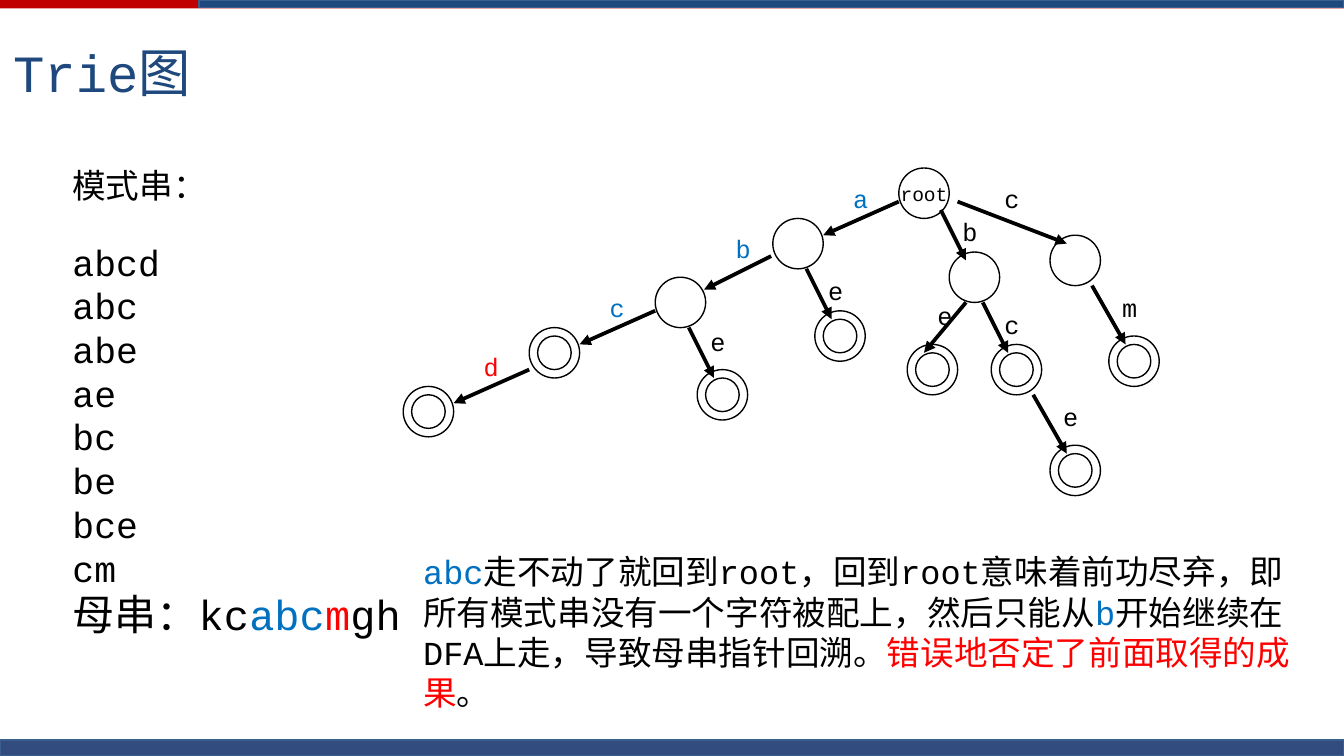
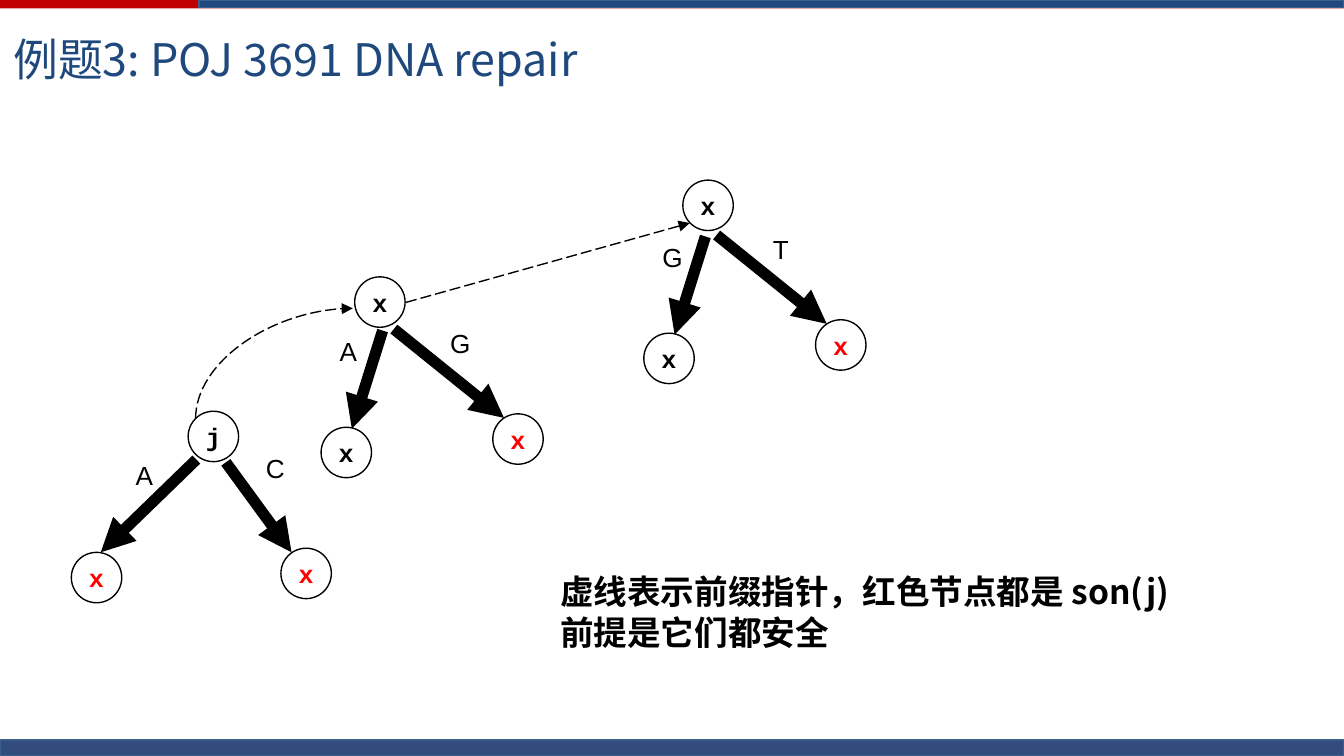
from lxml import etree
from pptx import Presentation
from pptx.dml.color import RGBColor
from pptx.enum.dml import MSO_LINE
from pptx.enum.shapes import MSO_CONNECTOR, MSO_SHAPE
from pptx.enum.text import MSO_ANCHOR, PP_ALIGN
from pptx.oxml.ns import qn
from pptx.util import Pt

OVAL, RECT = MSO_SHAPE.OVAL, MSO_SHAPE.RECTANGLE
STRAIGHT, CURVE = MSO_CONNECTOR.STRAIGHT, MSO_CONNECTOR.CURVE
LONG_DASH = MSO_LINE.LONG_DASH
TOP, MIDDLE = MSO_ANCHOR.TOP, MSO_ANCHOR.MIDDLE
LEFT, CENTER = PP_ALIGN.LEFT, PP_ALIGN.CENTER

WIDTH, HEIGHT = 720, 405
MONO, SANS, LATIN = "Courier New", "Noto Sans CJK SC", "Arial"
BLACK, WHITE, RED, SKY = "000000", "FFFFFF", "FF0000", "0070C0"
NAVY, CRIMSON, FOOTER, EDGE = "1F497D", "C00000", "002060", "3A5F8C"
NODE = 27   # diameter of a tree node
GRID = 4.5  # unit of the trie drawing

# Trie: column, row, whether a pattern ends there
TRIE_NODES = [
    (59, 0, False), (44, 6, False), (30, 13, False), (15, 19, True),
    (0, 26, True), (35, 24, True), (49, 17, True), (65, 10, False),
    (70, 21, True), (60, 21, True), (77, 33, True), (77, 8, False),
    (84, 20, True),
]
# Trie: letter, colour, start, end, place of the letter
TRIE_EDGES = [
    ("a", SKY, (59, 4), (50, 8), (52, 1)),
    ("b", SKY, (43.8, 10.5), (35.8, 14.5), (38, 7)),
    ("c", SKY, (30, 17), (21, 21), (23, 14)),
    ("d", RED, (15, 24), (6, 28), (8, 21)),
    ("e", BLACK, (34, 19), (37, 25), (35, 18)),
    ("e", BLACK, (48, 12), (51, 18), (49, 12)),
    ("b", BLACK, (64, 5), (67, 11), (65, 5)),
    ("c", BLACK, (69, 16), (72, 22), (70, 16)),
    ("e", BLACK, (67, 16), (62, 22), (62, 15)),
    ("e", BLACK, (75, 27), (79, 34), (77, 27)),
    ("c", BLACK, (66, 4), (79, 9), (70, 1)),
    ("m", BLACK, (82, 14), (86, 21), (84, 14)),
]

# Branch pairs: child, start, end, place of the letter
WIDE_PAIR = [
    ((0, 75.6), (67, 25.9), (15.8, 75.6), (27.4, 22.3)),
    ((112.3, 73.4), (82.8, 27.4), (118, 75.6), (97.2, 18.7)),
]
STEEP_PAIR = [
    ((0, 80.6), (33, 28.8), (16.5, 81.4), (2.9, 28)),
    ((92, 73.4), (39, 28), (98, 75.6), (62, 23.8)),
]


def rgb(code):
    return RGBColor.from_string(code)


def add_para(frame, spans, size, font, bold=False, align=LEFT,
             pitch=None, before=None, first=False):
    """Add one paragraph made of (text, colour) spans."""
    para = frame.paragraphs[0] if first else frame.add_paragraph()
    para.alignment = align
    if pitch:
        para.line_spacing = Pt(pitch)
    if before:
        para.space_before = Pt(before)
    para.font.name, para.font.size, para.font.bold = font, Pt(size), bold
    para.font.color.rgb = rgb(spans[0][1])
    defaults = para._p.pPr.find(qn("a:defRPr"))
    etree.SubElement(defaults, qn("a:ea")).set("typeface", font)
    for text, color in spans:
        span = para.add_run()
        span.text = text
        if len(spans) > 1:
            span.font.color.rgb = rgb(color)


def add_box(page, left, top, width, height, wrap=True, anchor=TOP):
    box = page.shapes.add_textbox(Pt(left), Pt(top), Pt(width), Pt(height))
    box.text_frame.word_wrap = wrap
    box.text_frame.vertical_anchor = anchor
    return box.text_frame


def add_label(page, left, top, text, size, font, color=BLACK):
    frame = add_box(page, left, top, 26, 24, wrap=False)
    add_para(frame, [(text, color)], size, font, first=True)


def add_solid(page, kind, left, top, width, height, fill, line=None, weight=0):
    shape = page.shapes.add_shape(kind, Pt(left), Pt(top), Pt(width), Pt(height))
    shape.shadow.inherit = False
    shape.fill.solid()
    shape.fill.fore_color.rgb = rgb(fill)
    if line:
        shape.line.color.rgb = rgb(line)
        shape.line.width = Pt(weight)
    else:
        shape.line.fill.background()
    return shape


def add_node(page, left, top, text="", color=BLACK, size=13.5, bold=True,
             diameter=NODE):
    node = add_solid(page, OVAL, left, top, diameter, diameter, WHITE, BLACK, 0.75)
    if text:
        frame = node.text_frame
        frame.word_wrap = False
        frame.vertical_anchor = MIDDLE
        add_para(frame, [(text, color)], size, MONO, bold, CENTER, first=True)


def add_arrow(page, start, end, weight, dash=None, kind=STRAIGHT):
    arrow = page.shapes.add_connector(kind, *(Pt(v) for v in (*start, *end)))
    arrow.line.color.rgb = rgb(BLACK)
    arrow.line.width = Pt(weight)
    if dash:
        arrow.line.dash_style = dash
    properties = arrow._element.spPr
    tail = etree.SubElement(properties.find(qn("a:ln")), qn("a:tailEnd"))
    tail.set("type", "triangle")
    etree.SubElement(properties, qn("a:effectLst"))
    return arrow


def add_quarter_curve(page, left, top, width, height):
    """Dashed arc that leaves upwards and arrives to the right."""
    curve = add_arrow(page, (left + width, top + height), (left, top), 0.75,
                      LONG_DASH, CURVE)
    properties = curve._element.spPr
    properties.find(qn("a:xfrm")).set("rot", "5400000")
    properties.find(qn("a:prstGeom")).set("prst", "curvedConnector2")


def add_page(deck, title, size, font, title_height):
    """Page with top bands, footer band and title."""
    page = deck.slides.add_slide(deck.slide_layouts[6])
    split = 106.6
    add_solid(page, RECT, 0, 0, WIDTH, 4.6, CRIMSON)
    add_solid(page, RECT, split, 0, WIDTH - split, 4, NAVY, EDGE)
    footer = add_solid(page, RECT, 0, HEIGHT - 8.5, WIDTH, 8.5, FOOTER, EDGE)
    color = footer._element.spPr.find(qn("a:solidFill"))[0]
    etree.SubElement(color, qn("a:alpha")).set("val", "80000")
    frame = add_box(page, 0, 7.2, 658, title_height, anchor=MIDDLE)
    add_para(frame, [(title, NAVY)], size, font, first=True)
    return page


def add_trie(page, left, top):
    def place(point):
        return left + point[0] * GRID, top + point[1] * GRID

    for index, (column, row, _) in enumerate(TRIE_NODES):
        add_node(page, *place((column, row)), "" if index else "root",
                 size=10.5, bold=False)
    for _, _, start, end, _ in TRIE_EDGES:
        add_arrow(page, place(start), place(end), 2)
    # Inner rings mark the ends of patterns
    for column, row, final in TRIE_NODES:
        if final:
            add_node(page, *place((column + 1, row + 1)), diameter=4 * GRID)
    for letter, color, _, _, spot in TRIE_EDGES:
        add_label(page, *place(spot), letter, 13.5, MONO, color)


def add_patterns(page, left, top):
    frame = add_box(page, left, top, 234, 264)
    add_para(frame, [("模式串：", BLACK)], 18, MONO, pitch=21.5, first=True)
    for index, word in enumerate("abcd abc abe ae bc be bce cm".split()):
        add_para(frame, [(word, BLACK)], 19.5, MONO, pitch=23.4,
                 before=0 if index else 18.4)
    add_para(frame, [("母串：kc", BLACK), ("abc", SKY), ("m", RED), ("gh", BLACK)],
             22.5, MONO, pitch=26.5)


def add_explanation(page, left, top):
    frame = add_box(page, left, top, 486, 94)
    add_para(frame, [
        ("abc", SKY),
        ("走不动了就回到root，回到root意味着前功尽弃，"
         "即所有模式串没有一个字符被配上，然后只能从", BLACK),
        ("b", SKY),
        ("开始继续在DFA上走，导致母串指针回溯。", BLACK),
        ("错误地否定了前面取得的成果", RED),
        ("。", BLACK),
    ], 18, MONO, pitch=21.5, first=True)


def add_family(page, left, top, parent, name, pair, letters, colors):
    """A parent node with two children on thick arrows."""
    def place(point):
        return left + point[0], top + point[1]

    add_node(page, *place(parent), name)
    for (child, start, end, spot), letter, color in zip(pair, letters, colors):
        add_arrow(page, place(start), place(end), 6)
        add_node(page, *place(child), "x", color)
        add_label(page, *place(spot), letter, 14, LATIN)


def add_caption(page, left, top):
    frame = add_box(page, left, top, 347, 51, wrap=False)
    lines = ["虚线表示前缀指针，红色节点都是 son(j)", "前提是它们都安全"]
    for index, line in enumerate(lines):
        add_para(frame, [(line, BLACK)], 18, SANS, True, pitch=22,
                 first=index == 0)


def build_trie_page(deck):
    page = add_page(deck, "Trie图", 28, MONO, 62.6)
    add_trie(page, 216, 90)
    add_explanation(page, 219.6, 292)
    add_patterns(page, 31.7, 85)


def build_repair_page(deck):
    page = add_page(deck, "例题3: POJ 3691 DNA repair", 24, SANS, 48.2)
    # Prefix pointers
    add_arrow(page, (217.5, 162), (369.5, 119.5), 0.75, LONG_DASH)
    add_quarter_curve(page, 117.4, 152.6, 59, 84.2)
    # Three states with their children
    add_family(page, 38.2, 220.3, (62.6, 0), "j", WIDE_PAIR, "AC", (RED, RED))
    add_family(page, 172, 148.3, (18, 0), "x", STEEP_PAIR, "AG", (BLACK, RED))
    add_family(page, 344.9, 97.9, (20.9, -1.4), "x", STEEP_PAIR, "GT", (BLACK, RED))
    add_caption(page, 293, 301.7)


def main():
    deck = Presentation()
    deck.slide_width, deck.slide_height = Pt(WIDTH), Pt(HEIGHT)
    build_trie_page(deck)
    build_repair_page(deck)
    deck.save("out.pptx")


if __name__ == "__main__":
    main()
